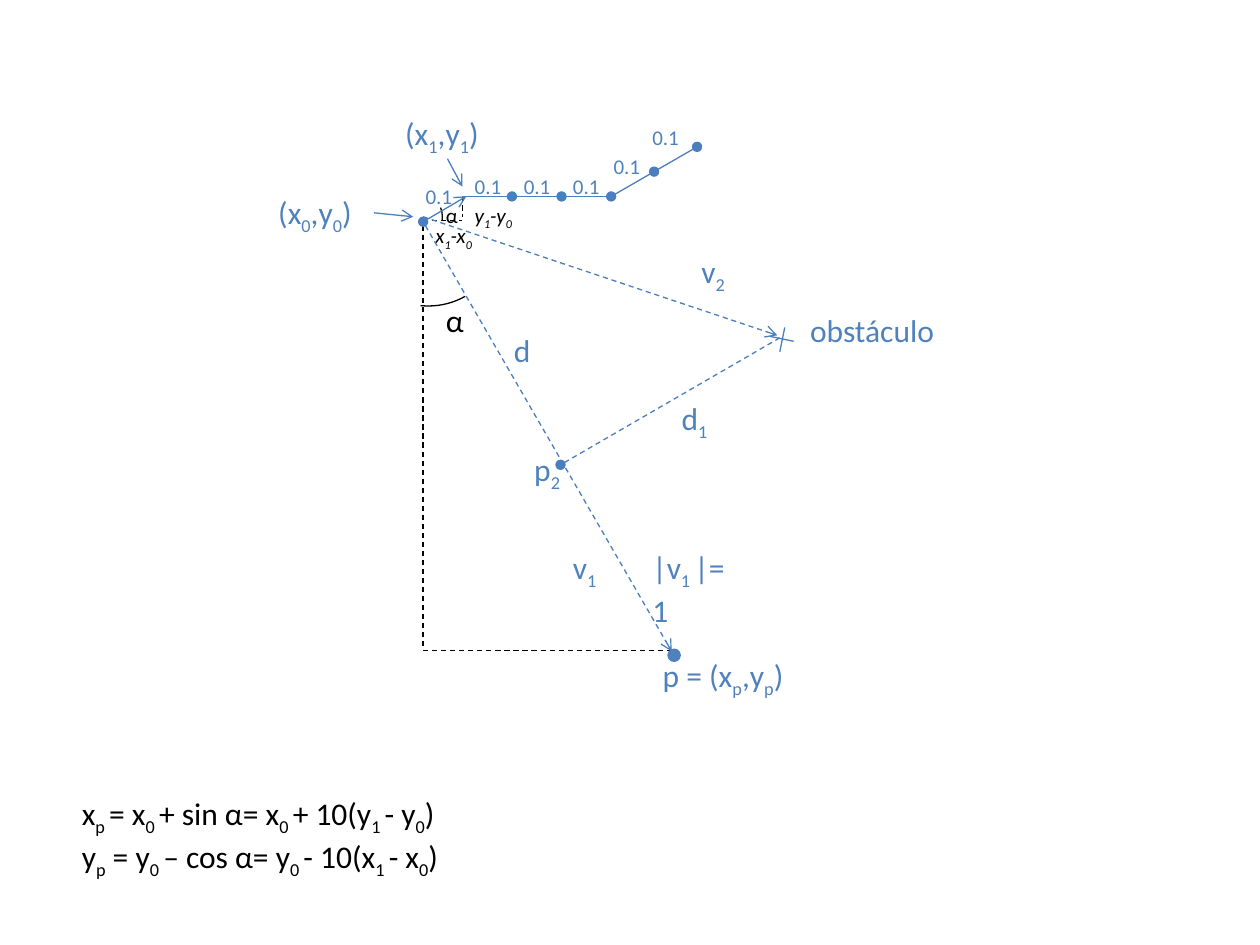
from dataclasses import dataclass
from math import cos, radians, sin

from lxml.etree import SubElement
from pptx import Presentation
from pptx.dml.color import RGBColor as RGB
from pptx.enum.dml import MSO_LINE as Dash
from pptx.enum.shapes import MSO_CONNECTOR as Link, MSO_SHAPE as Kind
from pptx.enum.text import MSO_AUTO_SIZE as Auto
from pptx.oxml.ns import qn
from pptx.util import Cm, Pt


@dataclass(frozen=True)
class Theme:
    font: str = "Calibri"
    blue: RGB = RGB(0x4F, 0x81, 0xBD)
    edge: RGB = RGB(0x4B, 0x7E, 0xBC)
    black: RGB = RGB(0, 0, 0)
    large: int = 18
    small: int = 12
    thin: float = 0.75
    thick: float = 2


T = Theme()


class Box:
    """A region of the slide; parts are placed in cm from its corner."""

    def __init__(self, slide, left, top):
        self.shapes = slide.shapes
        self.left, self.top = left, top

    def spot(self, x, y):
        return Cm(self.left + x), Cm(self.top + y)

    def line(self, start, end, color=T.edge, dash=False, head=None, tail=None):
        link = self.shapes.add_connector(
            Link.STRAIGHT, *self.spot(*start), *self.spot(*end))
        link.line.color.rgb = color
        link.line.width = Pt(T.thin)
        if dash:
            link.line.dash_style = Dash.DASH
        ln = link.line._get_or_add_ln()
        for tag, kind in (("a:headEnd", head), ("a:tailEnd", tail)):
            if kind:
                SubElement(ln, qn(tag)).set("type", kind)
        SubElement(link._element.spPr, qn("a:effectLst"))

    def shape(self, kind, x, y, w, h, color, width):
        shape = self.shapes.add_shape(kind, *self.spot(x, y), Cm(w), Cm(h))
        shape.shadow.inherit = False
        shape.line.color.rgb = color
        shape.line.width = Pt(width)
        return shape

    def arc(self, x, y, w, h, start, end):
        arc = self.shape(Kind.ARC, x, y, w, h, T.black, T.thin)
        arc.fill.background()
        # Angles are in degrees, adjustments in units of 5/3 degree
        arc.adjustments[0] = start * 0.6
        arc.adjustments[1] = end * 0.6

    def text(self, x, y, w, *rows, size=T.large, color=T.blue, italic=None):
        """Write rows; parts in braces are subscripts."""
        high = 0.25 + len(rows) * size * 0.043
        area = self.shapes.add_textbox(*self.spot(x, y), Cm(w), Cm(high))
        frame = area.text_frame
        frame.word_wrap = True
        frame.auto_size = Auto.SHAPE_TO_FIT_TEXT
        for i, row in enumerate(rows):
            para = frame.add_paragraph() if i else frame.paragraphs[0]
            for j, part in enumerate(row.replace("}", "{").split("{")):
                if part:
                    run = para.add_run()
                    run.text = part
                    if j % 2:
                        run._r.get_or_add_rPr().set("baseline", "-25000")
            font = para.font
            font.name, font.size, font.italic = T.font, Pt(size), italic
            font.color.rgb = color


def draw_path(box):
    """Draw the chain of 0.1 steps that leaves the start point."""
    x, y = 0.79, -0.51
    box.line((0, 0), (0.87, y), tail="arrow")
    for angle in (0, 0, 0, 30, 30):
        end = x + cos(radians(angle)), y - sin(radians(angle))
        box.line((x, y), end, tail="oval")
        x, y = end
    for x, y in ((-0.2, -0.89), (0.79, -1.09), (1.78, -1.09),
                 (2.77, -1.09), (3.59, -1.5), (4.37, -2.08)):
        box.text(x, y, 1.4, "0.1", size=T.small)
    box.text(-3.17, -0.71, 2.18, "(x{0},y{0})")
    box.text(-0.61, -2.29, 2.18, "(x{1},y{1})")
    box.line((0.49, -1.27), (0.79, -0.71), tail="arrow")
    box.line((-0.99, -0.18), (-0.2, -0.1), tail="arrow")


def draw_angles(box):
    """Draw the two similar triangles with their angle marks."""
    for start, end in (((0.79, -0.51), (0.79, -0.1)),
                       ((0, -0.03), (0.79, -0.03)),
                       ((0, -0.1), (0, 8.59)),
                       ((0, 8.64), (5.01, 8.64))):
        box.line(start, end, T.black, dash=True)
    box.arc(-1.39, -1.3, 3, 3, 60.5, 96.17)
    box.arc(-3.78, -1.09, 4.17, 1.98, 354.87, 1.97)
    box.text(0.21, 1.47, 1, "α", color=T.black)
    box.text(0.21, -0.51, 1, "α", size=T.small, color=T.black)
    for x, y, w, side in ((0.79, -0.51, 1.6, "y{1}-y{0}"),
                          (0, -0.1, 1.4, "x{1}-x{0}")):
        box.text(x, y, w, side, size=T.small, color=T.black, italic=True)


def draw_goal(box):
    """Draw the unit vector towards p."""
    box.line((0, 0), (5.01, 8.66), dash=True, head="oval", tail="arrow")
    dot = box.shape(Kind.OVAL, 4.96, 8.64, 0.2, 0.2, T.blue, T.thick)
    dot.fill.solid()
    dot.fill.fore_color.rgb = T.blue
    box.text(4.58, 8.64, 3.76, "p = (x{p},y{p})")
    box.text(4.37, 6.45, 2.39, "|v{1 }|= 1")
    box.text(2.77, 6.45, 1.2, "v{1}")
    box.text(1.58, 2.08, 1.2, "d")
    box.text(1.99, 4.47, 1.2, "p{2}")


def draw_block(box):
    """Draw the obstacle, its vector and its distance to the path."""
    box.line((7.29, 2.13), (7.19, 2.62))
    box.line((6.99, 2.31), (7.47, 2.41))
    box.line((0, -0.1), (7.14, 2.29), dash=True, tail="arrow")
    box.line((2.77, 4.9), (7.19, 2.34), dash=True, head="oval")
    box.text(5.36, 0.48, 1.2, "v{2}")
    box.text(4.96, 3.45, 1.2, "d{1}")
    box.text(7.55, 1.68, 5.16, "obstáculo")


def write_sums(box):
    box.text(0, 0, 10.52,
             "x{p }= x{0 }+ sin α= x{0 }+ 10(y{1 }- y{0})",
             "y{p} = y{0 }– cos α= y{0 }- 10(x{1 }- x{0})",
             color=T.black)


def main():
    deck = Presentation()
    deck.slide_width, deck.slide_height = Cm(25.4), Cm(19.05)
    slide = deck.slides.add_slide(deck.slide_layouts[6])
    start = Box(slide, 8.53, 4.47)
    for draw in (draw_angles, draw_path, draw_goal, draw_block):
        draw(start)
    write_sums(Box(slide, 1.4, 15.88))
    deck.save("out.pptx")


if __name__ == "__main__":
    main()
